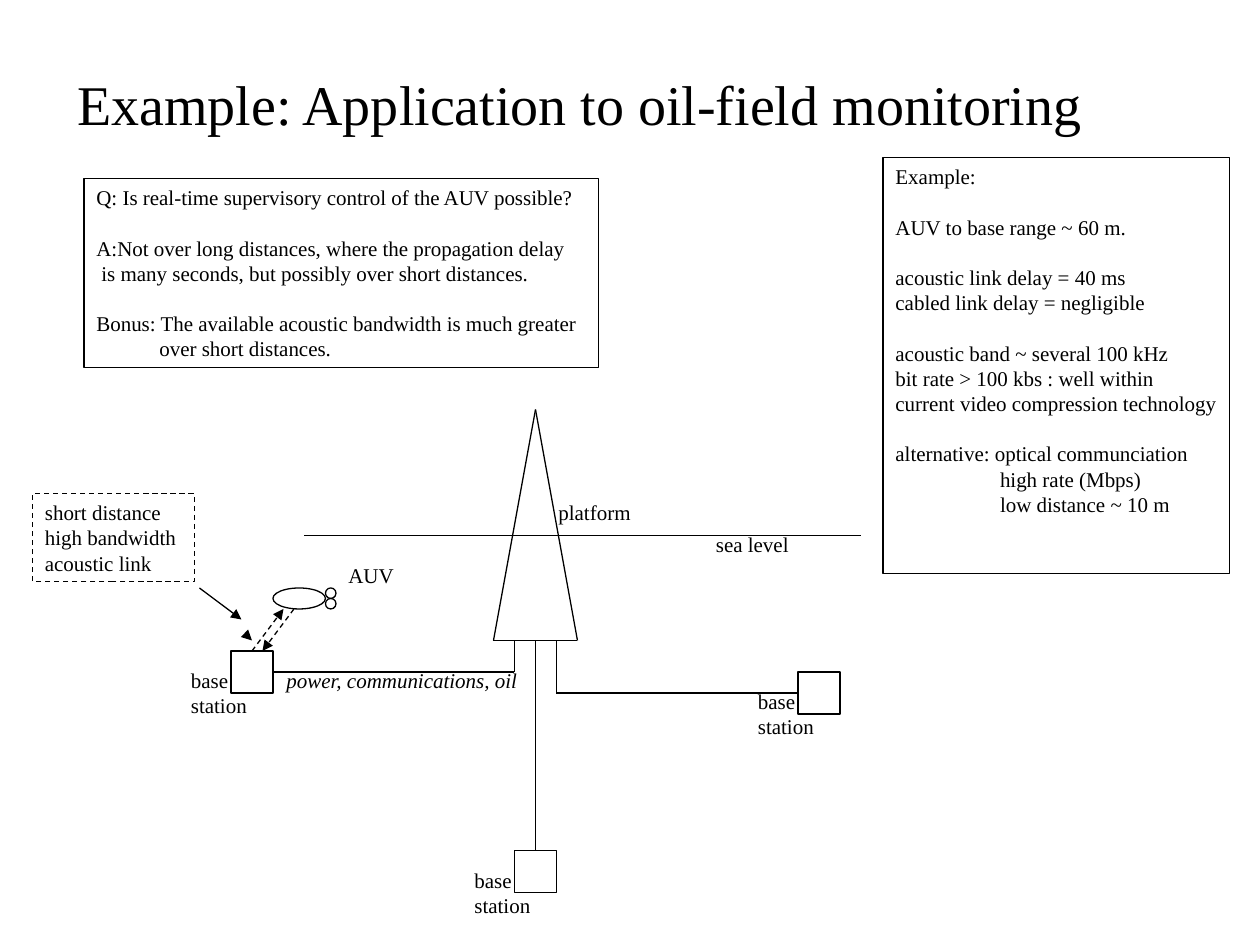
from dataclasses import dataclass

from lxml.etree import SubElement
from pptx import Presentation
from pptx.dml.color import RGBColor
from pptx.enum.dml import MSO_LINE
from pptx.enum.shapes import MSO_CONNECTOR, MSO_SHAPE
from pptx.enum.text import MSO_ANCHOR, PP_ALIGN
from pptx.oxml.ns import qn
from pptx.util import Inches, Pt

COLUMNS, ROWS = 120, 90


@dataclass(frozen=True)
class Theme:
    ink: RGBColor = RGBColor(0, 0, 0)
    font: str = "Times New Roman"
    title_size: float = 32
    body_size: float = 12
    blank_line: float = 14.4
    line_width: float = 0.75


@dataclass(frozen=True)
class Line:
    """One paragraph: gap puts a line of space before it, indent and hanging are inches."""
    text: str
    gap: bool = False
    indent: float = 0
    hanging: bool = False


def write_text(frame, lines, theme, size=None, italic=False, wrap=False, align=PP_ALIGN.LEFT):
    frame.word_wrap = wrap
    frame.vertical_anchor = MSO_ANCHOR.TOP
    for index, line in enumerate(lines):
        line = Line(line) if isinstance(line, str) else line
        paragraph = frame.paragraphs[0] if index == 0 else frame.add_paragraph()
        paragraph.text = line.text
        paragraph.alignment = align
        if line.gap:
            paragraph.space_before = Pt(theme.blank_line)
        if line.indent:
            properties = paragraph._p.get_or_add_pPr()
            properties.set("marL", str(Inches(line.indent)))
            properties.set("indent", str(-Inches(line.indent) if line.hanging else 0))
        font = paragraph.font
        font.name, font.size, font.italic = theme.font, Pt(size or theme.body_size), italic
        font.color.rgb = theme.ink


class Diagram:
    """Draws on one slide; every length is in columns and rows of the grid."""

    def __init__(self, presentation, theme):
        self.theme = theme
        self.slide = presentation.slides.add_slide(presentation.slide_layouts[6])
        self.column = presentation.slide_width / COLUMNS
        self.row = presentation.slide_height / ROWS

    def place(self, *lengths):
        return [round(length * unit) for length, unit in
                zip(lengths, (self.column, self.row) * 2)]

    def stroke(self, line, dashed):
        line.color.rgb = self.theme.ink
        line.width = Pt(self.theme.line_width)
        if dashed:
            line.dash_style = MSO_LINE.DASH

    def label(self, area, *lines, **style):
        box = self.slide.shapes.add_textbox(*self.place(*area))
        write_text(box.text_frame, lines, self.theme, **style)

    def outline(self, kind, area, *lines, dashed=False, **style):
        shape = self.slide.shapes.add_shape(kind, *self.place(*area))
        shape.shadow.inherit = False
        shape.fill.background()
        self.stroke(shape.line, dashed)
        if lines:
            write_text(shape.text_frame, lines, self.theme, **style)
        return shape

    def line(self, start, end, dashed=False, arrow=False, begin=None, finish=None):
        """begin and finish are (shape, side) pairs to join."""
        connector = self.slide.shapes.add_connector(
            MSO_CONNECTOR.STRAIGHT, *self.place(*start, *end))
        self.stroke(connector.line, dashed)
        if arrow:
            SubElement(connector.line._get_or_add_ln(), qn("a:tailEnd"), type="triangle")
        SubElement(connector._element.spPr, qn("a:effectLst"))
        if begin:
            connector.begin_connect(*begin)
        if finish:
            connector.end_connect(*finish)

    def base_station(self, left, top):
        station = self.outline(MSO_SHAPE.RECTANGLE, (left, top, 4, 4))
        self.label((left - 5, top + 1, 8, 6), "base", "station")
        return station


def draw_platform(diagram):
    peak, left_foot, right_foot = (51, 39), (47, 61), (55, 61)
    for start, end in ((peak, left_foot), (peak, right_foot), (left_foot, right_foot)):
        diagram.line(start, end)
    diagram.label((52, 47, 10, 3.6), "platform")
    diagram.line((29, 51), (82, 51))
    diagram.label((67, 50, 10, 3.6), "sea level")


def draw_stations(diagram):
    """Draws the three stations with their cables and returns the left one."""
    left = diagram.base_station(22, 62)
    bottom = diagram.base_station(49, 81)
    right = diagram.base_station(76, 64)
    diagram.line((49, 61), (49, 64))
    diagram.line((49, 64), (26, 64), finish=(left, 3))
    diagram.line((51, 61), (51, 81), finish=(bottom, 0))
    diagram.line((53, 61), (53, 66))
    diagram.line((53, 66), (76, 66), finish=(right, 1))
    diagram.label((26.1, 63, 25, 3.6), "power, communications, oil", italic=True)
    return left


def draw_vehicle(diagram, station):
    for area in ((26, 56, 5, 2), (31, 56, 1, 1), (31, 57, 1, 1)):
        diagram.outline(MSO_SHAPE.OVAL, area)
    diagram.label((32, 53, 7, 3.6), "AUV")
    diagram.line((23.9, 60.9), (24, 61), arrow=True)
    diagram.line((24, 62), (27, 58), dashed=True, arrow=True, begin=(station, 0))
    diagram.line((28, 58), (25, 62), dashed=True, arrow=True)
    diagram.outline(MSO_SHAPE.RECTANGLE, (3.1, 47, 15.4, 8.4), "short distance",
                    "high bandwidth", "acoustic link", dashed=True)
    diagram.line((19, 56), (23, 59), arrow=True)


def draw_notes(diagram):
    diagram.outline(
        MSO_SHAPE.RECTANGLE, (8, 17, 49, 18),
        "Q: Is real-time supervisory control of the AUV possible?",
        Line("A:Not over long distances, where the propagation delay\v"
             "is many seconds, but possibly over short distances.",
             gap=True, indent=0.04, hanging=True),
        Line("Bonus: The available acoustic bandwidth is much greater", gap=True),
        Line("over short distances.", indent=0.5),
        wrap=True)
    diagram.outline(
        MSO_SHAPE.RECTANGLE, (84.1, 15, 33, 39.6),
        "Example:",
        Line("AUV to base range ~ 60 m.", gap=True),
        Line("acoustic link delay = 40 ms", gap=True),
        "cabled link delay = negligible",
        Line("acoustic band ~ several 100 kHz", gap=True),
        "bit rate > 100 kbs : well within",
        "current video compression technology",
        Line("alternative: optical communciation", gap=True),
        Line("high rate (Mbps)", indent=0.83),
        Line("low distance ~ 10 m", indent=0.83))


def main():
    presentation = Presentation()
    presentation.slide_width, presentation.slide_height = Inches(10), Inches(7.5)
    theme = Theme()
    diagram = Diagram(presentation, theme)
    diagram.label((6, 6, 98.5, 7.7), "Example: Application to oil-field monitoring",
                  size=theme.title_size, align=PP_ALIGN.CENTER)
    draw_platform(diagram)
    left_station = draw_stations(diagram)
    draw_vehicle(diagram, left_station)
    draw_notes(diagram)
    presentation.save("out.pptx")


if __name__ == "__main__":
    main()
